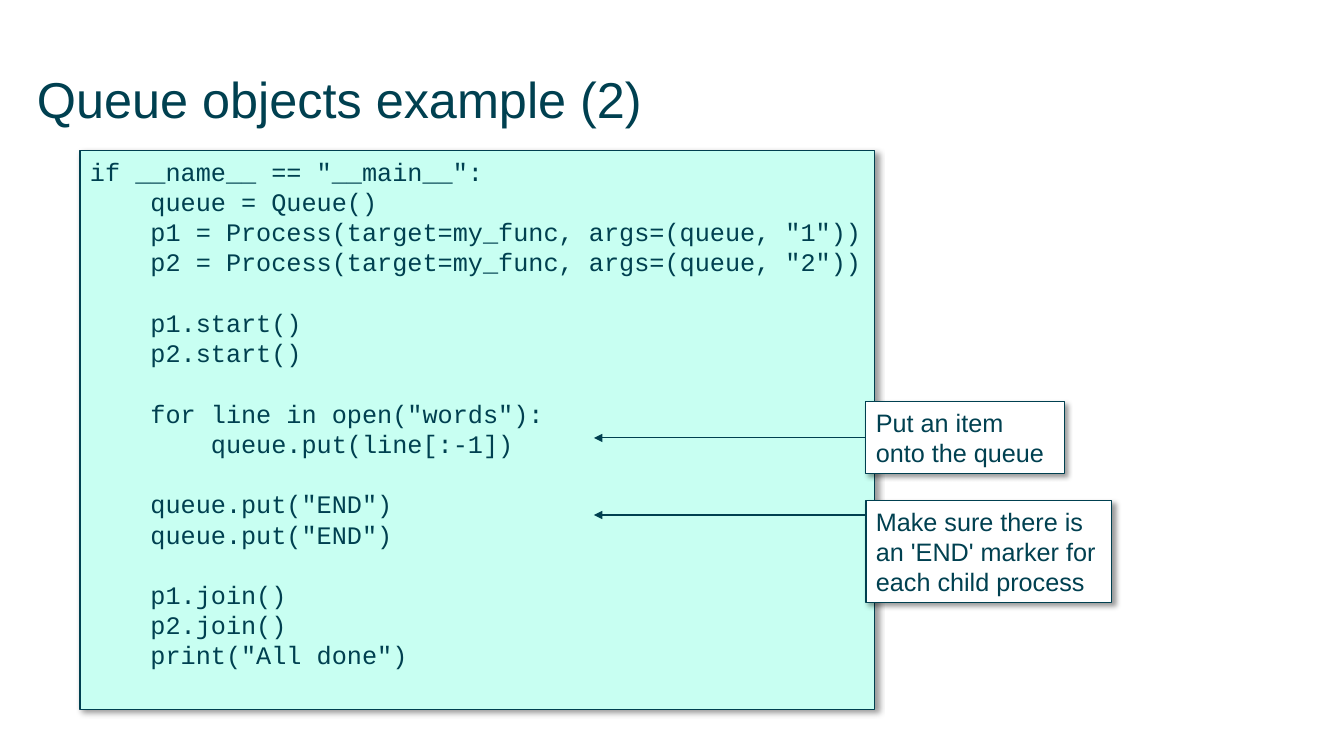
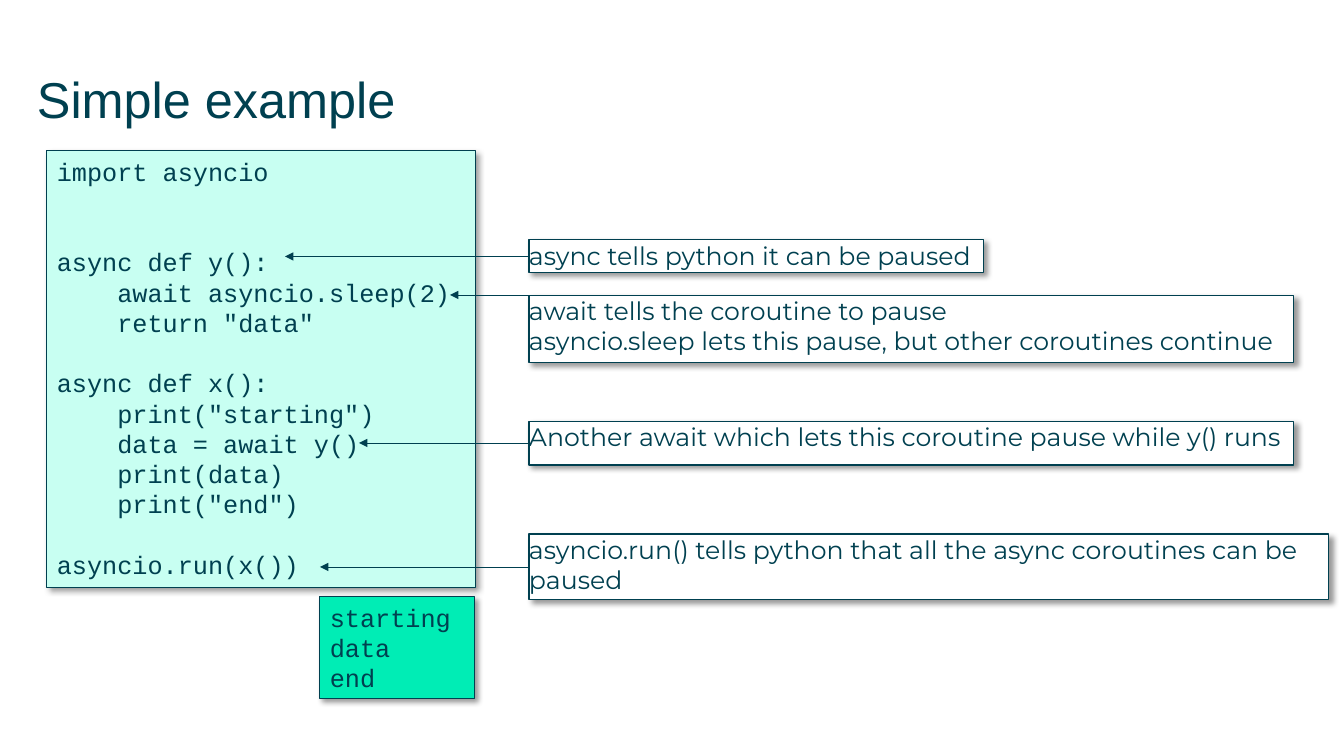
from lxml.etree import SubElement
from pptx import Presentation
from pptx.dml.color import RGBColor
from pptx.enum.shapes import MSO_CONNECTOR, MSO_SHAPE
from pptx.enum.text import MSO_ANCHOR, MSO_AUTO_SIZE, PP_ALIGN
from pptx.oxml.ns import qn
from pptx.util import Emu, Pt

SLIDE_W, SLIDE_H = 1344, 756
TITLE_ONLY = 5
LEFT_SIDE = 1

QUEUE_CODE = '''if __name__ == "__main__":
    queue = Queue()
    p1 = Process(target=my_func, args=(queue, "1"))
    p2 = Process(target=my_func, args=(queue, "2"))

    p1.start()
    p2.start()

    for line in open("words"):
        queue.put(line[:-1])

    queue.put("END")
    queue.put("END")

    p1.join()
    p2.join()
    print("All done")'''

ASYNC_CODE = '''import asyncio


async def y():
    await asyncio.sleep(2)
    return "data"

async def x():
    print("starting")
    data = await y()
    print(data)
    print("end")

asyncio.run(x())'''


def px(length):
    return Emu(round(length * 12192000 / SLIDE_W))


def color(hex_value):
    return RGBColor.from_string(hex_value)


class Deck:
    INK, PAPER, CODE, OUTPUT = "004050", "FFFFFF", "C8FFF2", "00EDB5"
    SANS, MONO, NOTE = "Arial", "Courier New", "Montserrat"

    def __init__(self):
        self.prs = Presentation()
        self.prs.slide_width, self.prs.slide_height = px(SLIDE_W), px(SLIDE_H)
        self.slide = None

    def add_slide(self, heading):
        self.slide = self.prs.slides.add_slide(self.prs.slide_layouts[TITLE_ONLY])
        title = self.slide.shapes.title
        title.left, title.top, title.width, title.height = map(px, (37, 61, 1270, 89))
        self.set_text(title.text_frame, heading, self.SANS, 36, inset=False)
        title.text_frame.margin_top = px(7)

    def set_text(self, frame, text, font, size=18, inset=True, leading=None):
        frame.text = text
        frame.word_wrap = True
        frame.auto_size = MSO_AUTO_SIZE.NONE
        frame.vertical_anchor = MSO_ANCHOR.TOP
        if not inset:
            frame.margin_left = frame.margin_right = 0
            frame.margin_top = frame.margin_bottom = 0
        for paragraph in frame.paragraphs:
            paragraph.alignment = PP_ALIGN.LEFT
            if leading:
                paragraph.line_spacing = Pt(leading)
            for run in paragraph.runs:
                run.font.name, run.font.size = font, Pt(size)
                run.font.color.rgb = color(self.INK)

    def box(self, x, y, w, h, text, font, fill, inset=True):
        panel = self.slide.shapes.add_shape(MSO_SHAPE.RECTANGLE, *map(px, (x, y, w, h)))
        panel.fill.solid()
        panel.fill.fore_color.rgb = color(fill)
        panel.line.color.rgb = color(self.INK)
        panel.line.width = Pt(0.75)
        self.cast_shadow(panel)
        self.set_text(panel.text_frame, text, font, inset=inset, leading=21.6)
        return panel

    def cast_shadow(self, panel):
        panel.shadow.inherit = False
        effects = panel.element.spPr.find(qn("a:effectLst"))
        shadow = SubElement(effects, qn("a:outerShdw"), blurRad=str(Pt(4)), dist=str(Pt(3)),
                            dir="2700000", algn="tl", rotWithShape="0")
        black = SubElement(shadow, qn("a:srgbClr"), val="000000")
        SubElement(black, qn("a:alpha"), val="40000")

    def code(self, x, y, w, h, text):
        return self.box(x, y, w, h, text, self.MONO, self.CODE)

    def output(self, x, y, w, h, text):
        return self.box(x, y, w, h, text, self.MONO, self.OUTPUT)

    def note(self, x, y, w, h, text):
        return self.box(x, y, w, h, text, self.SANS, self.PAPER)

    def tight_note(self, x, y, w, h, text):
        return self.box(x, y, w, h, text, self.NOTE, self.PAPER, inset=False)

    def arrow(self, note, tip_x, y=None, weight=0.75):
        """Point level from the note's left edge, at its middle unless y is given."""
        level = note.top + note.height // 2 if y is None else px(y)
        pointer = self.slide.shapes.add_connector(
            MSO_CONNECTOR.STRAIGHT, note.left, level, px(tip_x), level)
        if y is None:
            pointer.begin_connect(note, LEFT_SIDE)
        pointer.line.color.rgb = color(self.INK)
        pointer.line.width = Pt(weight)
        properties = pointer.element.spPr
        SubElement(properties.find(qn("a:ln")), qn("a:tailEnd"), type="triangle")
        SubElement(properties, qn("a:effectLst"))


def queue_slide(deck):
    deck.add_slide("Queue objects example (2)")
    deck.code(80, 151, 795, 559, QUEUE_CODE)
    put_item = deck.note(866, 402, 199, 72, "Put an item onto the queue")
    deck.arrow(put_item, 594)
    end_marker = deck.note(866, 501, 246, 102,
                           "Make sure there is an 'END' marker for each child process")
    deck.arrow(end_marker, 594, y=515)


def async_slide(deck):
    deck.add_slide("Simple example")
    deck.code(47, 151, 429, 437, ASYNC_CODE)
    explanations = [
        (240, 455, 33, 285, None, "async tells python it can be paused"),
        (295, 765, 68, 450, 295, "await tells the coroutine to pause\n"
         "asyncio.sleep lets this pause, but other coroutines continue"),
        (421, 765, 44, 359, None,
         "Another await which lets this coroutine pause while y() runs"),
        (534, 800, 66, 320, None,
         "asyncio.run() tells python that all the async coroutines can be paused"),
    ]
    for top, width, height, tip_x, level, text in explanations:
        explanation = deck.tight_note(529, top, width, height, text)
        deck.arrow(explanation, tip_x, level, weight=0.5)
    deck.output(320, 597, 155, 102, "starting\ndata\nend")


def main():
    deck = Deck()
    queue_slide(deck)
    async_slide(deck)
    deck.prs.save("out.pptx")


if __name__ == "__main__":
    main()
